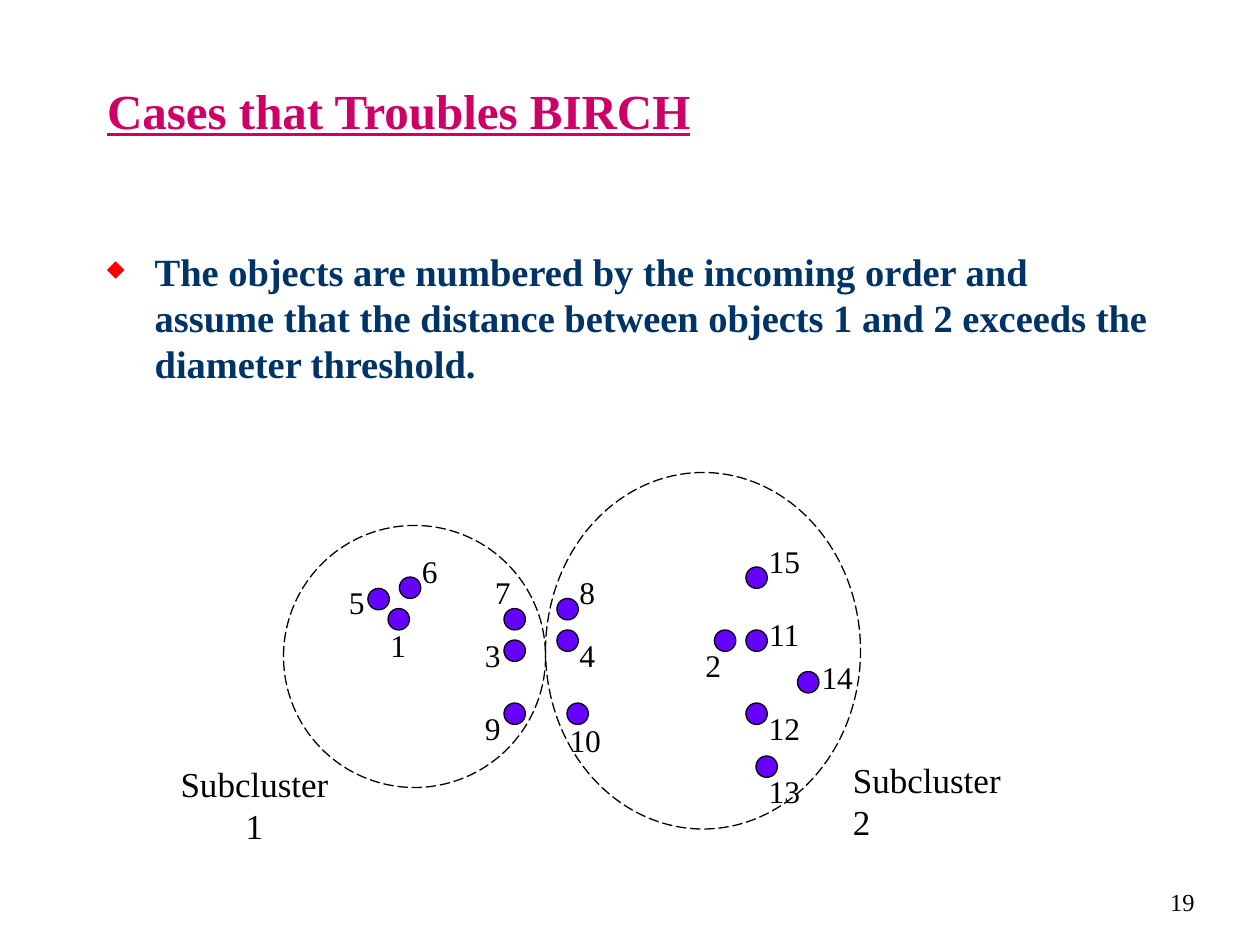
from pptx import Presentation
from pptx import util as u
from pptx.dml.color import RGBColor
from pptx.enum import dml, shapes, text
from pptx.oxml import parse_xml
from pptx.oxml.ns import nsdecls

BLACK = RGBColor(0x00, 0x00, 0x00)
WHITE = RGBColor(0xFF, 0xFF, 0xFF)
MAGENTA = RGBColor(0xCC, 0x00, 0x66)
NAVY = RGBColor(0x00, 0x33, 0x66)
VIOLET = RGBColor(0x66, 0x00, 0xFF)
FONT = "Times New Roman"
LEFT, CENTER, RIGHT = text.PP_ALIGN.LEFT, text.PP_ALIGN.CENTER, text.PP_ALIGN.RIGHT
DOT_SIZE = 0.17
LABEL_HEIGHT = 0.4
LABEL_WIDTHS = {1: 0.32, 2: 0.45}

SUBCLUSTERS = [(2.25, 4.17, 2.08, 2.08), (4.33, 3.75, 2.5, 2.83)]
OBJECTS = {
    1: ((3.08, 4.83), (3, 4.92)),
    2: ((5.67, 5), (5.5, 5.08)),
    3: ((4, 5.08), (3.75, 5)),
    4: ((4.42, 5), (4.5, 5)),
    5: ((2.92, 4.67), (2.67, 4.58)),
    6: ((3.17, 4.58), (3.25, 4.33)),
    7: ((4, 4.83), (3.83, 4.5)),
    8: ((4.42, 4.75), (4.5, 4.5)),
    9: ((4, 5.58), (3.75, 5.58)),
    10: ((4.5, 5.58), (4.42, 5.67)),
    11: ((5.92, 5), (6, 4.83)),
    12: ((5.92, 5.58), (6, 5.58)),
    13: ((6, 6), (6, 6.08)),
    14: ((6.33, 5.33), (6.42, 5.17)),
    15: ((5.92, 4.5), (6, 4.25)),
}


def inches(box):
    return [u.Inches(value) for value in box]


def write(paragraph, wording, size, color=BLACK, bold=False, underline=False):
    run = paragraph.add_run()
    run.text = wording
    font = run.font
    font.name, font.size = FONT, u.Pt(size)
    font.bold, font.underline = bold, underline
    font.color.rgb = color


def set_title(slide, wording):
    title = slide.shapes.title
    title.left, title.top, title.width, title.height = inches((0.75, 0.33, 8.5, 1.08))
    frame = title.text_frame
    frame.auto_size = text.MSO_AUTO_SIZE.NONE
    frame.vertical_anchor = text.MSO_ANCHOR.MIDDLE
    paragraph = frame.paragraphs[0]
    paragraph.alignment = LEFT
    write(paragraph, wording, 28, MAGENTA, bold=True, underline=True)


def add_bullet(paragraph):
    properties = paragraph._p.get_or_add_pPr()
    properties.set("marL", str(u.Inches(0.38)))
    properties.set("indent", str(-u.Inches(0.38)))
    for element in (
        '<a:buClr {}><a:srgbClr val="FF0000"/></a:buClr>',
        '<a:buSzPct {} val="60000"/>',
        '<a:buChar {} char="◆"/>',
    ):
        properties.append(parse_xml(element.format(nsdecls("a"))))


def add_body(slide, wording):
    body = slide.shapes.add_textbox(*inches((0.75, 1.92, 8.5, 4.75)))
    body.fill.solid()
    body.fill.fore_color.rgb = WHITE
    body.text_frame.word_wrap = True
    paragraph = body.text_frame.paragraphs[0]
    paragraph.space_before = u.Pt(5.5)
    add_bullet(paragraph)
    write(paragraph, wording, 22, NAVY, bold=True)


def add_label(parent, wording, box, size, alignment=CENTER):
    label = parent.shapes.add_textbox(*inches(box))
    label.text_frame.word_wrap = False
    paragraph = label.text_frame.paragraphs[0]
    paragraph.alignment = alignment
    write(paragraph, wording, size)
    return label


def add_ellipse(parent, box):
    ellipse = parent.shapes.add_shape(shapes.MSO_SHAPE.OVAL, *inches(box))
    ellipse.shadow.inherit = False
    ellipse.fill.background()
    ellipse.line.color.rgb = BLACK
    ellipse.line.width = u.Pt(0.75)
    return ellipse


def add_dot(parent, position):
    dot = add_ellipse(parent, (*position, DOT_SIZE, DOT_SIZE))
    dot.fill.solid()
    dot.fill.fore_color.rgb = VIOLET


def add_diagram(slide):
    diagram = slide.shapes.add_group_shape()
    for box in SUBCLUSTERS:
        outline = add_ellipse(diagram, box)
        outline.line.dash_style = dml.MSO_LINE.LONG_DASH
    for dot_position, _ in OBJECTS.values():
        add_dot(diagram, dot_position)
    for number, (_, label_position) in OBJECTS.items():
        wording = str(number)
        box = (*label_position, LABEL_WIDTHS[len(wording)], LABEL_HEIGHT)
        add_label(diagram, wording, box, 18)


def main():
    presentation = Presentation()
    presentation.slide_width, presentation.slide_height = inches((10, 7.5))
    slide = presentation.slides.add_slide(presentation.slide_layouts[5])
    set_title(slide, "Cases that Troubles BIRCH")
    add_body(
        slide,
        "The objects are numbered by the incoming order and assume that the "
        "distance between objects 1 and 2 exceeds the diameter threshold.",
    )
    add_diagram(slide)
    add_label(slide, "Subcluster 1", (1.23, 6, 1.58, 0.44), 20)
    add_label(slide, "Subcluster 2", (6.67, 5.97, 1.58, 0.44), 20, LEFT)
    page_number = add_label(slide, "19", (7.5, 6.91, 2.08, 0.5), 14, RIGHT)
    page_number.text_frame.word_wrap = True
    page_number.text_frame.vertical_anchor = text.MSO_ANCHOR.MIDDLE
    presentation.save("out.pptx")


if __name__ == "__main__":
    main()
